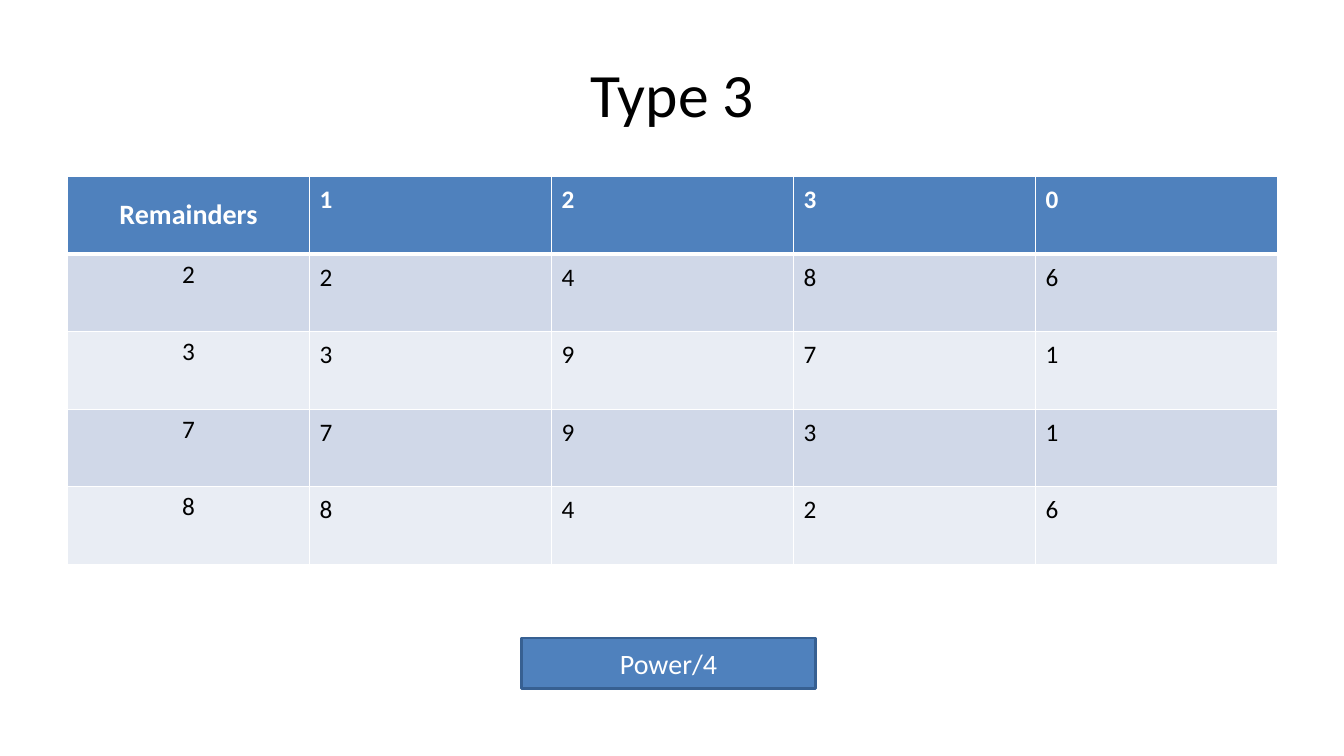
from dataclasses import dataclass

from lxml.etree import SubElement
from pptx import Presentation
from pptx.dml.color import RGBColor
from pptx.enum.shapes import MSO_SHAPE
from pptx.enum.text import MSO_ANCHOR, PP_ALIGN
from pptx.oxml.ns import qn
from pptx.slide import Slide
from pptx.table import _Cell as Cell
from pptx.text.text import TextFrame
from pptx.util import Emu, Pt

EMU_PER_PX = 9144


@dataclass(frozen=True)
class Theme:
    font: str = "Calibri"
    black: str = "000000"
    white: str = "FFFFFF"
    blue: str = "4F81BD"
    dark_blue: str = "376092"
    bands: tuple[str, str] = ("D0D8E8", "E9EDF4")
    title_size: int = 44
    label_size: int = 20
    body_size: int = 18
    grid_width: int = 1
    header_rule_width: int = 3


@dataclass(frozen=True)
class Box:
    left: int
    top: int
    width: int
    height: int

    def emu(self) -> tuple[Emu, Emu, Emu, Emu]:
        return px(self.left), px(self.top), px(self.width), px(self.height)


@dataclass(frozen=True)
class TextStyle:
    size: int
    color: str
    bold: bool = False
    alignment: PP_ALIGN = PP_ALIGN.CENTER
    anchor: MSO_ANCHOR = MSO_ANCHOR.MIDDLE
    line_spacing: float = 1.0


THEME = Theme()
SLIDE_SIZE = (1333, 750)
TITLE_BOX = Box(67, 30, 1200, 125)
TABLE_BOX = Box(67, 175, 1200, 385)
POWER_BOX = Box(517, 633, 292, 50)
REMAINDER_ROWS = (
    ("Remainders", "1", "2", "3", "0"),
    ("2", "2", "4", "8", "6"),
    ("3", "3", "9", "7", "1"),
    ("7", "7", "9", "3", "1"),
    ("8", "8", "4", "2", "6"),
)


def px(length: int) -> Emu:
    return Emu(length * EMU_PER_PX)


def rgb(color: str) -> RGBColor:
    return RGBColor.from_string(color)


def write_text(text_frame: TextFrame, text: str, style: TextStyle) -> None:
    text_frame.text = text
    text_frame.word_wrap = True
    paragraph = text_frame.paragraphs[0]
    paragraph.alignment = style.alignment
    paragraph.line_spacing = style.line_spacing
    font = paragraph.runs[0].font
    font.name = THEME.font
    font.size = Pt(style.size)
    font.bold = style.bold
    font.color.rgb = rgb(style.color)


def add_title(slide: Slide, text: str) -> None:
    text_frame = slide.shapes.add_textbox(*TITLE_BOX.emu()).text_frame
    write_text(text_frame, text, TextStyle(THEME.title_size, THEME.black))
    text_frame.vertical_anchor = MSO_ANCHOR.MIDDLE


def cell_style(row: int, column: int) -> TextStyle:
    is_header = row == 0
    color = THEME.white if is_header else THEME.black
    if column == 0:
        anchor = MSO_ANCHOR.MIDDLE if is_header else MSO_ANCHOR.TOP
        size = THEME.label_size if is_header else THEME.body_size
        return TextStyle(size, color, is_header, anchor=anchor)
    return TextStyle(THEME.body_size, color, is_header, PP_ALIGN.JUSTIFY, MSO_ANCHOR.TOP, 1.1)


def set_borders(cell: Cell, top: int, bottom: int) -> None:
    """Draw white cell borders; top and bottom widths are in points."""
    properties = cell._tc.get_or_add_tcPr()
    widths = {"a:lnL": THEME.grid_width, "a:lnR": THEME.grid_width, "a:lnT": top, "a:lnB": bottom}
    for tag, width in widths.items():
        line = SubElement(properties, qn(tag), w=str(Pt(width)))
        fill = SubElement(line, qn("a:solidFill"))
        SubElement(fill, qn("a:srgbClr"), val=THEME.white)


def add_remainder_table(slide: Slide) -> None:
    row_count, column_count = len(REMAINDER_ROWS), len(REMAINDER_ROWS[0])
    table = slide.shapes.add_table(row_count, column_count, *TABLE_BOX.emu()).table
    table.horz_banding = False
    for row, texts in enumerate(REMAINDER_ROWS):
        fill = THEME.blue if row == 0 else THEME.bands[(row - 1) % 2]
        top = THEME.header_rule_width if row == 1 else THEME.grid_width
        bottom = THEME.header_rule_width if row == 0 else THEME.grid_width
        for column, text in enumerate(texts):
            cell = table.cell(row, column)
            style = cell_style(row, column)
            write_text(cell.text_frame, text, style)
            cell.vertical_anchor = style.anchor
            set_borders(cell, top, bottom)
            cell.fill.solid()
            cell.fill.fore_color.rgb = rgb(fill)


def add_power_label(slide: Slide, text: str) -> None:
    shape = slide.shapes.add_shape(MSO_SHAPE.RECTANGLE, *POWER_BOX.emu())
    shape.shadow.inherit = False
    shape.fill.solid()
    shape.fill.fore_color.rgb = rgb(THEME.blue)
    shape.line.color.rgb = rgb(THEME.dark_blue)
    shape.line.width = Pt(2)
    write_text(shape.text_frame, text, TextStyle(THEME.label_size, THEME.white))
    shape.text_frame.vertical_anchor = MSO_ANCHOR.MIDDLE


def main() -> None:
    presentation = Presentation()
    presentation.slide_width, presentation.slide_height = map(px, SLIDE_SIZE)
    slide = presentation.slides.add_slide(presentation.slide_layouts[6])
    add_title(slide, "Type 3")
    add_remainder_table(slide)
    add_power_label(slide, "Power/4")
    presentation.save("out.pptx")


if __name__ == "__main__":
    main()
